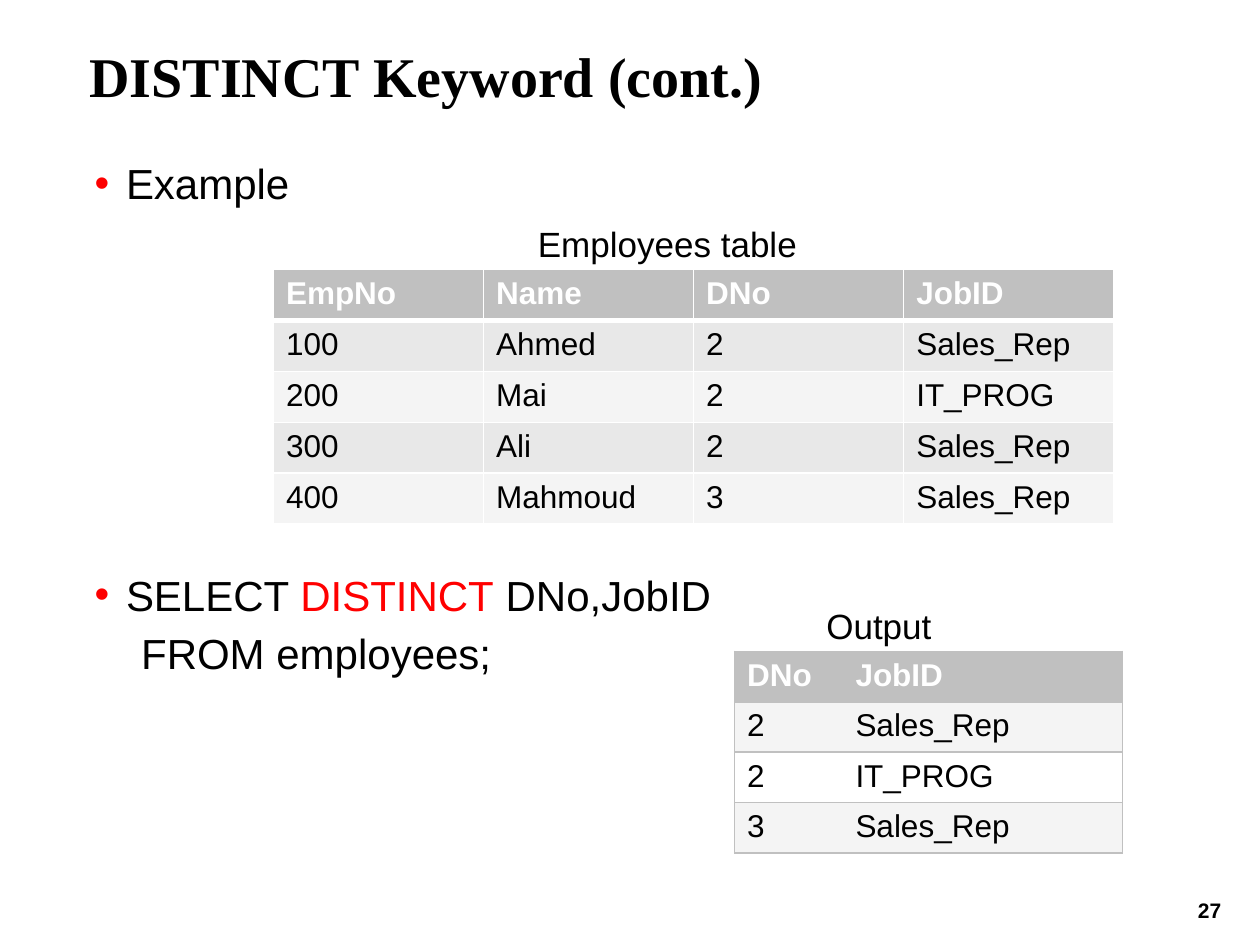
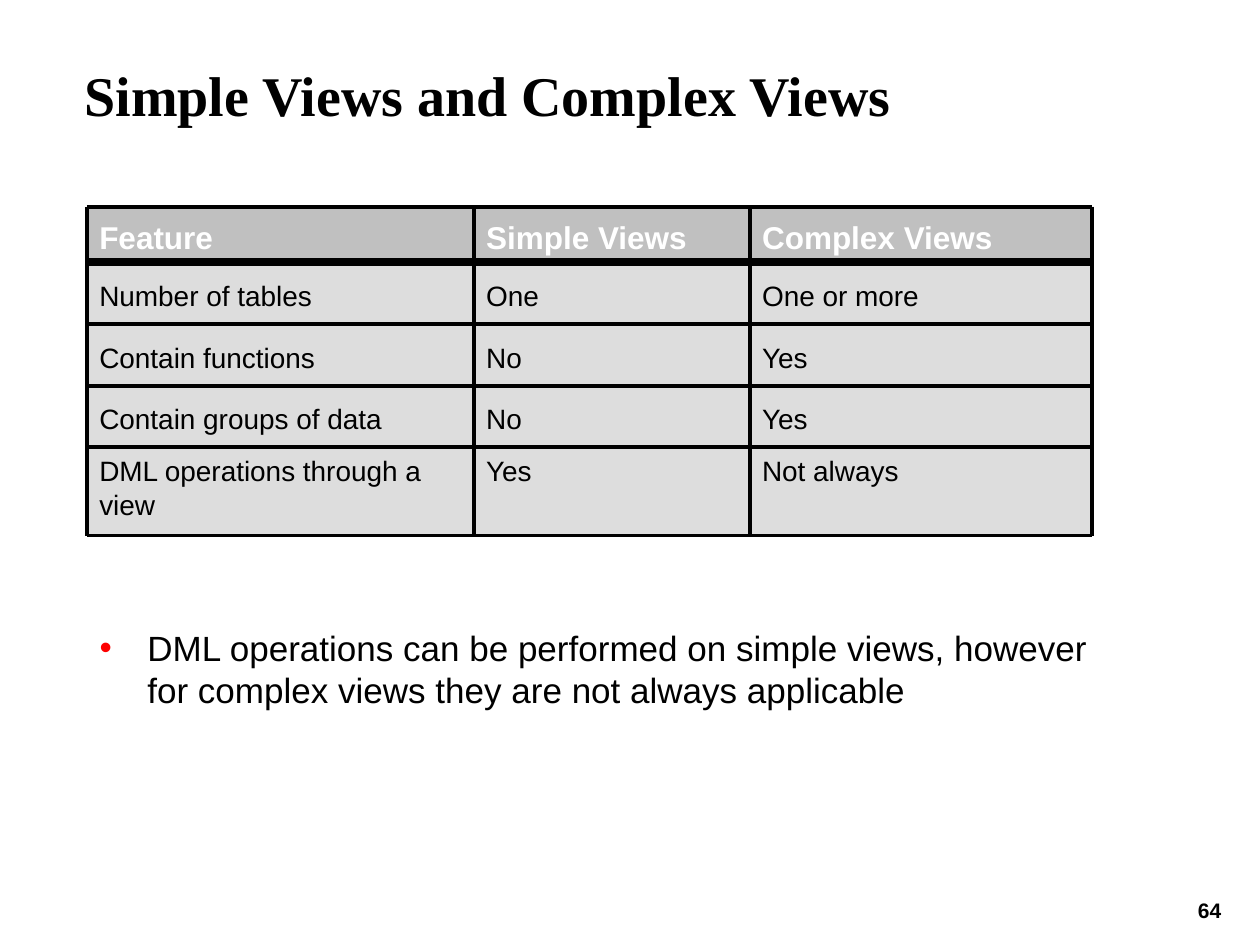
from itertools import accumulate

from lxml import etree
from pptx import Presentation
from pptx.dml import color
from pptx.enum import shapes, text
from pptx.oxml import ns
from pptx.util import Inches, Pt

BLACK, WHITE, RED, BULLET = "000000", "FFFFFF", "FF0000", "FD0000"
SILVER, MIST, PALE, GREY = "C0C0C0", "E8E8E8", "F4F4F4", "DDDDDD"

TITLE = {"name": "Times New Roman", "size": Pt(32), "bold": True}
BODY = {"name": "Arial", "size": Pt(24), "bold": False}
NOTE = {**BODY, "size": Pt(20)}
CELL = {**BODY, "size": Pt(18)}
SMALL_CELL = {**BODY, "size": Pt(16)}
HEAD = {**CELL, "bold": True}
NUMBER = {**BODY, "size": Pt(12), "bold": True}
NUMBER_BOX = (9.35, 7.1, 0.5, 0.28)
THIN, THICK = 2.25, 4.5

SLIDES = [
    {
        "number": "27",
        "title": ("DISTINCT Keyword (cont.)", (0.71, 0.33, 8.29, 1.03)),
        "body": {
            "box": (0.75, 1.25, 8.24, 5.25), "inset": (0, 0), "font": BODY,
            "paragraphs": [
                {"runs": [("Example", BLACK)], "hang": 0.25, "before": 0},
                {"runs": [("SELECT ", BLACK), ("DISTINCT", RED), (" DNo,JobID", BLACK)],
                 "hang": 0.25, "before": 206.4},
                {"runs": [("FROM employees;", BLACK)], "left": 0.37, "before": 4.5},
            ],
        },
        "tables": [
            {
                "at": (2.17, 2.14), "cols": [6.67 / 4] * 4, "heights": [2.02 / 5] * 5,
                "bands": [MIST, PALE],
                "grid": {"hex": WHITE, "width": 1, "head_rule": 3, "inner": True},
                "rows": [
                    ("EmpNo", "Name", "DNo", "JobID"),
                    ("100", "Ahmed", "2", "Sales_Rep"),
                    ("200", "Mai", "2", "IT_PROG"),
                    ("300", "Ali", "2", "Sales_Rep"),
                    ("400", "Mahmoud", "3", "Sales_Rep"),
                ],
            },
            {
                "at": (5.83, 5.17), "cols": [0.86, 2.22], "heights": [0.4] * 4,
                "bands": [PALE, WHITE],
                "grid": {"hex": SILVER, "width": 1, "head_rule": 1, "inner": False},
                "rows": [
                    ("DNo", "JobID"),
                    ("2", "Sales_Rep"),
                    ("2", "IT_PROG"),
                    ("3", "Sales_Rep"),
                ],
            },
        ],
        "captions": [
            ("Employees table", (4.17, 1.72, 2.5, 0.44)),
            ("Output", (6.46, 4.75, 1.04, 0.44)),
        ],
    },
    {
        "number": "64",
        "title": ("Simple Views and Complex Views", (0.67, 0.48, 8.66, 0.96)),
        "body": {
            "box": (0.69, 4.92, 8.31, 0.77), "inset": (0.1, 0.05), "font": NOTE,
            "paragraphs": [
                {"runs": [("DML operations can be performed on simple views, however "
                           "for complex views they are not always applicable", BLACK)],
                 "hang": 0.38, "before": 0},
            ],
        },
        "panels": {
            "at": (0.69, 1.64), "cols": [3.07, 2.19, 2.72],
            "heights": [0.44, 0.49, 0.49, 0.49, 0.7],
            "spacing": [1.15, 1.3, 1.3, 1.3, None],
            "rows": [
                ("Feature", "Simple Views", "Complex Views"),
                ("Number of tables", "One", "One or more"),
                ("Contain functions", "No", "Yes"),
                ("Contain groups of data", "No", "Yes"),
                ("DML operations through a view", "Yes", "Not always"),
            ],
        },
    },
]


def rgb(value):
    return color.RGBColor.from_string(value)


def set_all(target, values):
    for name, value in values.items():
        setattr(target, name, value)


def paint(target, hex_color):
    target.fill.solid()
    target.fill.fore_color.rgb = rgb(hex_color)


def add_run(p, words, font, hex_color=BLACK):
    r = p.add_run()
    r.text = words
    set_all(r.font, font)
    r.font.color.rgb = rgb(hex_color)


def place(sp, box):
    set_all(sp, dict(zip(("left", "top", "width", "height"), map(Inches, box))))


def set_frame(tf, inset=(0.1, 0.05)):
    x, y = map(Inches, inset)
    set_all(tf, {
        "margin_left": x, "margin_right": x, "margin_top": y, "margin_bottom": y,
        "word_wrap": True, "auto_size": text.MSO_AUTO_SIZE.NONE,
        "vertical_anchor": text.MSO_ANCHOR.TOP,
    })


def sub(parent, tag, **attrs):
    return etree.SubElement(parent, ns.qn(tag), attrs)


def set_bullet(p, hang=0, left=0):
    ppr = p._p.get_or_add_pPr()
    ppr.set("marL", str(Inches(hang or left)))
    ppr.set("indent", str(-Inches(hang)))
    if hang:
        sub(sub(ppr, "a:buClr"), "a:srgbClr", val=BULLET)
        sub(ppr, "a:buFont", typeface="Arial")
        sub(ppr, "a:buChar", char="•")
    else:
        sub(ppr, "a:buNone")


def add_title(s, words, box):
    sp = s.shapes.title
    place(sp, box)
    set_frame(sp.text_frame, (0, 0))
    p = sp.text_frame.paragraphs[0]
    p.alignment = text.PP_ALIGN.LEFT
    add_run(p, words, TITLE)


def add_body(s, body):
    sp = s.placeholders[1]
    place(sp, body["box"])
    tf = sp.text_frame
    set_frame(tf, body["inset"])
    for i, item in enumerate(body["paragraphs"]):
        p = tf.add_paragraph() if i else tf.paragraphs[0]
        p.space_before = Pt(item["before"])
        set_bullet(p, item.get("hang", 0), item.get("left", 0))
        for words, hex_color in item["runs"]:
            add_run(p, words, body["font"], hex_color)


def add_label(s, words, box, font, **layout):
    sp = s.shapes.add_textbox(*map(Inches, box))
    set_frame(sp.text_frame)
    p = sp.text_frame.paragraphs[0]
    set_all(p, layout)
    add_run(p, words, font)


def set_borders(cell, grid, row, col, last_col):
    def rule(edge):
        return grid["head_rule"] if edge == 1 else grid["width"]

    widths = {
        "L": grid["width"] if grid["inner"] or col == 0 else 0,
        "R": grid["width"] if grid["inner"] or col == last_col else 0,
        "T": rule(row),
        "B": rule(row + 1),
    }
    tcpr = cell._tc.get_or_add_tcPr()
    for side, width in widths.items():
        ln = sub(tcpr, f"a:ln{side}", w=str(Pt(width)))
        if width:
            sub(sub(ln, "a:solidFill"), "a:srgbClr", val=grid["hex"])
        else:
            sub(ln, "a:noFill")


def add_grid(s, spec):
    rows, cols, heights = spec["rows"], spec["cols"], spec["heights"]
    box = (*spec["at"], sum(cols), sum(heights))
    table = s.shapes.add_table(len(rows), len(cols), *map(Inches, box)).table
    for column, width in zip(table.columns, cols):
        column.width = Inches(width)
    for i, (row, height) in enumerate(zip(rows, heights)):
        table.rows[i].height = Inches(height)
        fill = spec["bands"][(i - 1) % len(spec["bands"])] if i else SILVER
        font, ink = (CELL, BLACK) if i else (HEAD, WHITE)
        for j, words in enumerate(row):
            cell = table.cell(i, j)
            set_borders(cell, spec["grid"], i, j, len(cols) - 1)
            paint(cell, fill)
            add_run(cell.text_frame.paragraphs[0], words, font, ink)


def add_panel(s, box, words, fill, font, ink, spacing):
    sp = s.shapes.add_shape(shapes.MSO_SHAPE.RECTANGLE, *map(Inches, box))
    sp.shadow.inherit = False
    sp.line.fill.background()
    paint(sp, fill)
    set_frame(sp.text_frame)
    p = sp.text_frame.paragraphs[0]
    set_all(p, {"alignment": text.PP_ALIGN.LEFT, "line_spacing": spacing})
    add_run(p, words, font, ink)


def add_rule(s, ends, width=THIN):
    line = s.shapes.add_connector(shapes.MSO_CONNECTOR.STRAIGHT, *map(Inches, ends))
    line.line.color.rgb = rgb(BLACK)
    line.line.width = Pt(width)
    sub(line._element.spPr, "a:effectLst")


def add_panels(s, spec):
    left, top = spec["at"]
    xs = list(accumulate(spec["cols"], initial=left))
    ys = list(accumulate(spec["heights"], initial=top))
    for i, row in enumerate(spec["rows"]):
        style = (GREY, SMALL_CELL, BLACK) if i else (SILVER, HEAD, WHITE)
        for j, words in enumerate(row):
            box = (xs[j], ys[i], spec["cols"][j], spec["heights"][i])
            add_panel(s, box, words, *style, spec["spacing"][i])
    for i, y in enumerate(ys):
        add_rule(s, (xs[0], y, xs[-1], y), THICK if i == 1 else THIN)
    for x in xs[1:-1]:
        add_rule(s, (x, ys[0], x, ys[-1]))
    for x in (xs[0], xs[-1]):
        add_rule(s, (x, ys[0], x, ys[1]))
        add_rule(s, (x, ys[1], x, ys[-1]))


def main():
    prs = Presentation()
    set_all(prs, {"slide_width": Inches(10), "slide_height": Inches(7.5)})
    for content in SLIDES:
        s = prs.slides.add_slide(prs.slide_layouts[1])
        add_label(s, content["number"], NUMBER_BOX, NUMBER,
                  alignment=text.PP_ALIGN.CENTER, line_spacing=0.9)
        add_title(s, *content["title"])
        add_body(s, content["body"])
        for spec in content.get("tables", []):
            add_grid(s, spec)
        if "panels" in content:
            add_panels(s, content["panels"])
        for words, box in content.get("captions", []):
            add_label(s, words, box, NOTE)
    prs.save("out.pptx")


if __name__ == "__main__":
    main()
